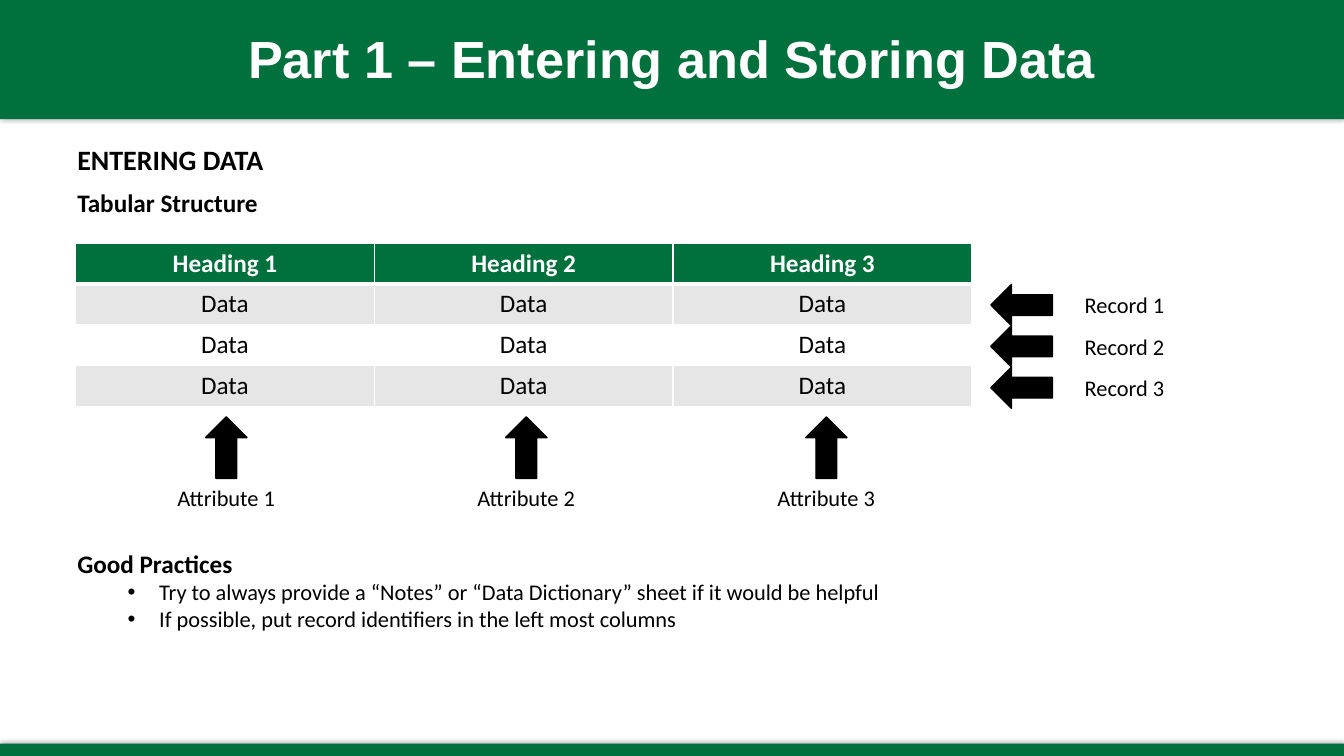
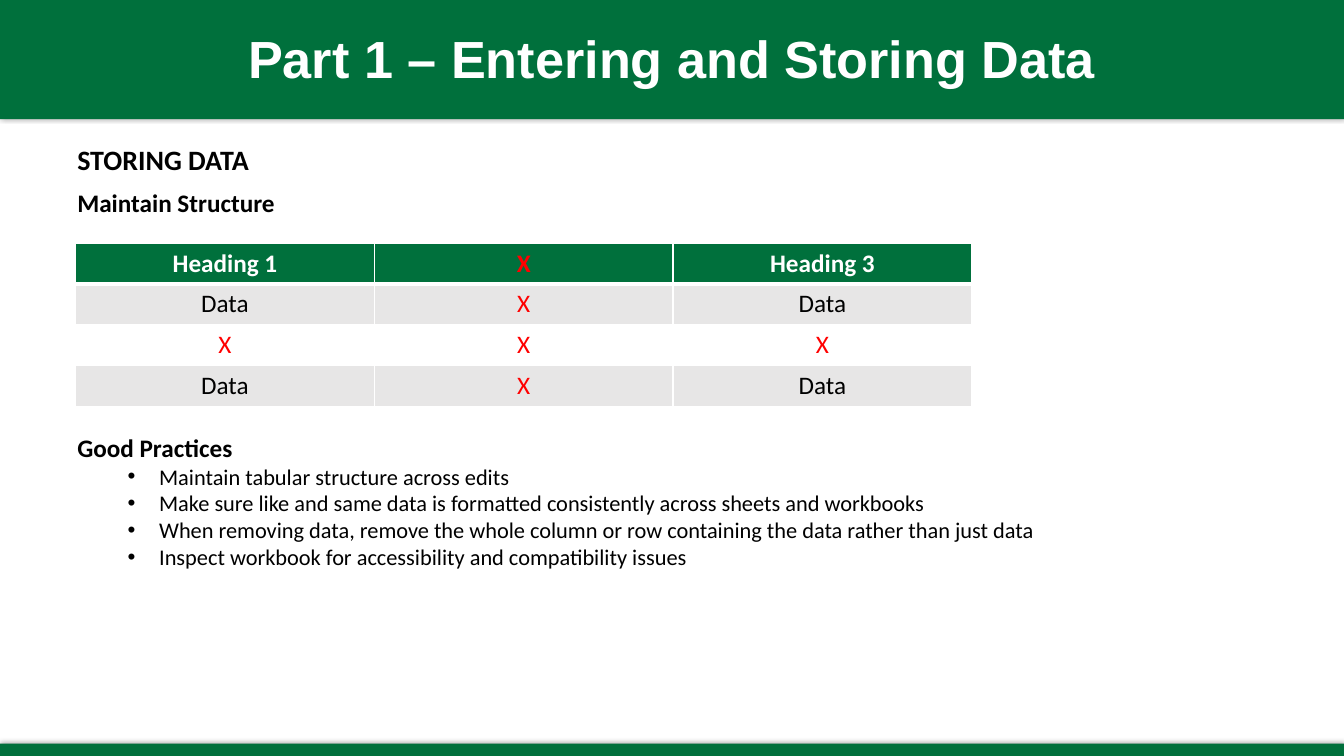
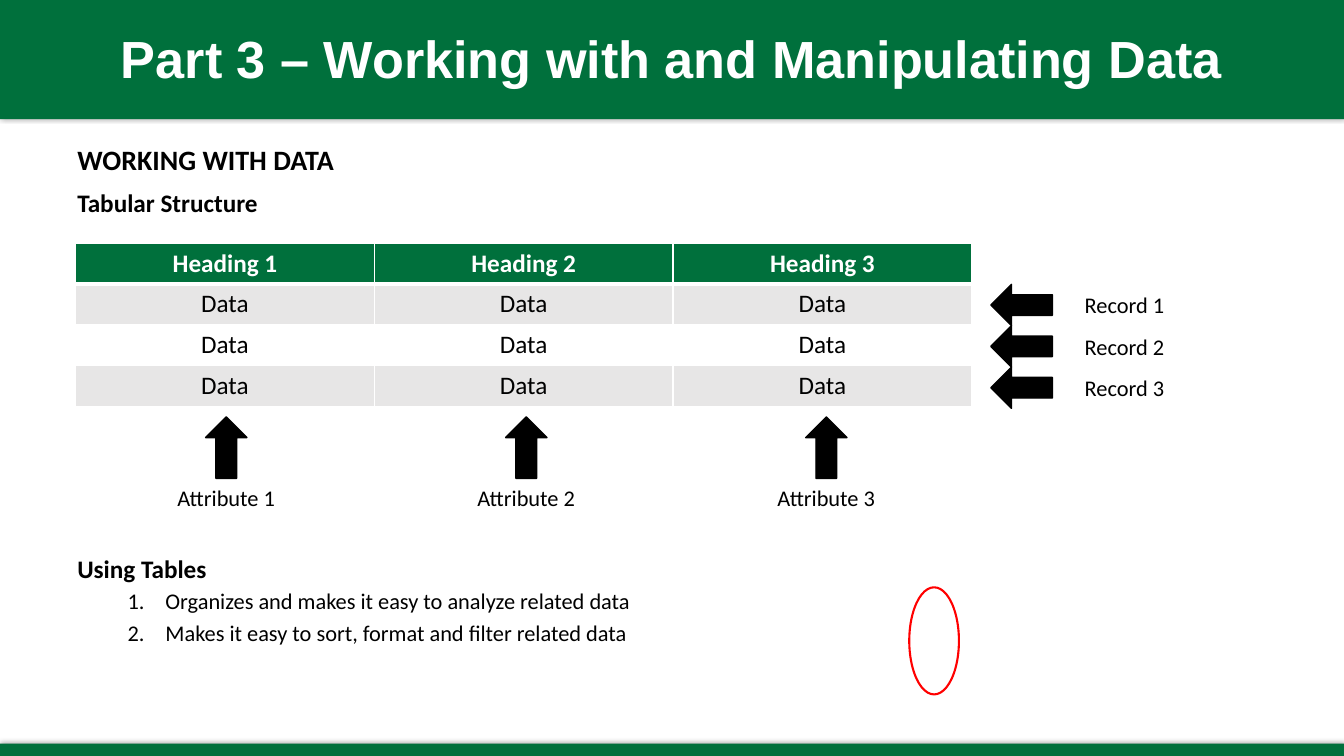
from dataclasses import dataclass

from lxml.etree import SubElement
from pptx import Presentation
from pptx.dml.color import RGBColor
from pptx.enum.shapes import MSO_SHAPE
from pptx.enum.text import MSO_ANCHOR, MSO_AUTO_SIZE, PP_ALIGN
from pptx.oxml.ns import qn
from pptx.util import Pt


@dataclass(frozen=True)
class Theme:
    green: str = "00703C"
    black: str = "000000"
    white: str = "FFFFFF"
    grey: str = "E7E6E6"
    red: str = "FF0000"
    title_font: str = "Arial"
    text_font: str = "Calibri"
    title_size: float = 37.3
    section_size: float = 20
    heading_size: float = 18
    text_size: float = 16


THEME = Theme()
WIDTH, HEIGHT = 960, 540
TITLE_AND_CONTENT, TWO_CONTENT = 1, 3
TABLE_LEFT, TABLE_TOP = 54, 173.5
COLUMN_WIDTH, ROW_HEIGHT = 213.4, 29.2
ARROW_WIDTH, ARROW_LENGTH = 29.5, 43.9
LABEL_WIDTH, LABEL_HEIGHT = 107.3, 26.6
DATA_TABLE = [["Heading 1", "Heading 2", "Heading 3"]] + [["Data"] * 3] * 3
EDITED_TABLE = [
    ["Heading 1", "X", "Heading 3"],
    ["Data", "X", "Data"],
    ["X", "X", "X"],
    ["Data", "X", "Data"],
]


def color(value):
    return RGBColor.from_string(value)


def place(shape, left, top, width, height):
    shape.left, shape.top = Pt(left), Pt(top)
    shape.width, shape.height = Pt(width), Pt(height)


def style(paragraph, size, bold=False, fill=THEME.black, name=THEME.text_font,
          align=PP_ALIGN.LEFT):
    paragraph.alignment = align
    font = paragraph.font
    font.size, font.bold, font.name = Pt(size), bold, name
    font.color.rgb = color(fill)


def set_bullet(paragraph, margin=0, hanging=0, tag="a:buNone", **attributes):
    properties = paragraph._p.get_or_add_pPr()
    properties.set("marL", str(Pt(margin)))
    properties.set("indent", str(-Pt(hanging)))
    SubElement(properties, qn(tag), attributes)


def set_spacing(paragraph, before=0, line=1.0):
    paragraph.space_before, paragraph.space_after = Pt(before), Pt(0)
    paragraph.line_spacing = line


def next_paragraph(text_frame, text):
    """Fill the paragraph a new frame starts with, then add further ones."""
    first = text_frame.paragraphs[0]
    paragraph = text_frame.add_paragraph() if first.text else first
    paragraph.text = text
    return paragraph


def add_heading(text_frame, text, size=THEME.heading_size, before=0, line=1.0):
    paragraph = next_paragraph(text_frame, text)
    set_bullet(paragraph)
    set_spacing(paragraph, before, line)
    style(paragraph, size, bold=True)


def add_bullets(text_frame, items):
    for item in items:
        paragraph = next_paragraph(text_frame, item)
        set_bullet(paragraph, 58.5, 22.5, "a:buChar", char="•")
        set_spacing(paragraph)
        style(paragraph, THEME.text_size)


def add_numbers(text_frame, items):
    for item in items:
        paragraph = next_paragraph(text_frame, item)
        set_bullet(paragraph, 63, 27, "a:buAutoNum", type="arabicPeriod")
        set_spacing(paragraph, before=5, line=0.9)
        style(paragraph, THEME.text_size)


def add_shape(slide, kind, left, top, width, height, fill=None, line=None, weight=1):
    shape = slide.shapes.add_shape(kind, Pt(left), Pt(top), Pt(width), Pt(height))
    shape.shadow.inherit = False
    if fill:
        shape.fill.solid()
        shape.fill.fore_color.rgb = color(fill)
    else:
        shape.fill.background()
    if line:
        shape.line.color.rgb = color(line)
        shape.line.width = Pt(weight)
    else:
        shape.line.fill.background()
    return shape


def add_band(slide, top, height):
    """Add a full-width green band with a soft shadow, behind the title."""
    band = add_shape(slide, MSO_SHAPE.RECTANGLE, 0, top, WIDTH, height, THEME.green)
    band.rotation = 180
    effects = band.element.spPr.find(qn("a:effectLst"))
    shadow = SubElement(effects, qn("a:outerShdw"), blurRad=str(Pt(4)),
                        dist=str(Pt(1)), dir="16200000", rotWithShape="0")
    shade = SubElement(shadow, qn("a:srgbClr"), val=THEME.black)
    SubElement(shade, qn("a:alpha"), val="40000")
    slide.shapes.title.element.addprevious(band.element)


def prepare_frame(placeholder):
    text_frame = placeholder.text_frame
    text_frame.word_wrap = True
    text_frame.auto_size = MSO_AUTO_SIZE.NONE
    return text_frame


def add_slide(presentation, layout, title, section, topic):
    slide = presentation.slides.add_slide(presentation.slide_layouts[layout])
    add_band(slide, 0, 85)
    add_band(slide, 531.2, 8.8)
    place(slide.shapes.title, 0, 15.1, WIDTH, 52.6)
    paragraph = next_paragraph(prepare_frame(slide.shapes.title), title)
    style(paragraph, THEME.title_size, True, THEME.white, THEME.title_font,
          PP_ALIGN.CENTER)
    body = slide.placeholders[1]
    place(body, 48, 100.8, 864, 400)
    text_frame = prepare_frame(body)
    add_heading(text_frame, section, THEME.section_size, before=10, line=0.9)
    add_heading(text_frame, topic, before=10, line=0.9)
    return slide


def add_practices(slide, top, width, height, items):
    practices = slide.placeholders[2]
    place(practices, 48, top, width, height)
    text_frame = prepare_frame(practices)
    add_heading(text_frame, "Good Practices")
    add_bullets(text_frame, items)


def set_borders(cell, top, bottom):
    properties = cell._tc.get_or_add_tcPr()
    for side, weight in (("L", 1), ("R", 1), ("T", top), ("B", bottom)):
        line = SubElement(properties, qn(f"a:ln{side}"), w=str(Pt(weight)))
        fill = SubElement(line, qn("a:solidFill"))
        SubElement(fill, qn("a:srgbClr"), val=THEME.white)


def fill_cell(cell, text, row):
    is_header = row == 0
    set_borders(cell, top=3 if row == 1 else 1, bottom=3 if is_header else 1)
    cell.fill.solid()
    band = THEME.grey if row % 2 else THEME.white
    cell.fill.fore_color.rgb = color(THEME.green if is_header else band)
    cell.vertical_anchor = MSO_ANCHOR.MIDDLE
    text_color = THEME.white if is_header else THEME.black
    paragraph = next_paragraph(cell.text_frame, text)
    style(paragraph, THEME.heading_size, is_header,
          THEME.red if text == "X" else text_color, align=PP_ALIGN.CENTER)


def add_table(slide, rows):
    columns = len(rows[0])
    table = slide.shapes.add_table(
        len(rows), columns, Pt(TABLE_LEFT), Pt(TABLE_TOP),
        Pt(columns * COLUMN_WIDTH), Pt(len(rows) * ROW_HEIGHT)).table
    table.horz_banding = False
    for column in table.columns:
        column.width = Pt(COLUMN_WIDTH)
    for index, texts in enumerate(rows):
        table.rows[index].height = Pt(ROW_HEIGHT)
        for column, text in enumerate(texts):
            fill_cell(table.cell(index, column), text, index)


def add_arrow(slide, center_x, center_y, rotation=0):
    arrow = add_shape(slide, MSO_SHAPE.UP_ARROW, center_x - ARROW_WIDTH / 2,
                      center_y - ARROW_LENGTH / 2, ARROW_WIDTH, ARROW_LENGTH,
                      THEME.black, THEME.black)
    arrow.rotation = rotation


def add_label(slide, text, center_x, center_y):
    label = slide.shapes.add_textbox(
        Pt(center_x - LABEL_WIDTH / 2), Pt(center_y - LABEL_HEIGHT / 2),
        Pt(LABEL_WIDTH), Pt(LABEL_HEIGHT))
    label.text_frame.word_wrap = True
    paragraph = next_paragraph(label.text_frame, text)
    style(paragraph, THEME.text_size, align=PP_ALIGN.CENTER)


def add_annotated_table(slide):
    """Add the data table with arrows naming its attributes and records."""
    add_table(slide, DATA_TABLE)
    for index in range(3):
        attribute_x = 161.6 + index * 214.3
        add_arrow(slide, attribute_x, 319.8)
        add_label(slide, f"Attribute {index + 1}", attribute_x, 355.6)
    for index in reversed(range(3)):
        record_y = 217.9 + index * 29.5
        add_arrow(slide, 729.7, record_y, rotation=270)
        add_label(slide, f"Record {index + 1}", 803.2, record_y)


def add_entering_slide(presentation):
    slide = add_slide(presentation, TWO_CONTENT, "Part 1 – Entering and Storing Data",
                      "ENTERING DATA", "Tabular Structure")
    add_annotated_table(slide)
    add_practices(slide, 388, 646, 67.7, [
        "Try to always provide a “Notes” or “Data Dictionary” sheet if it would be helpful",
        "If possible, put record identifiers in the left most columns",
    ])


def add_storing_slide(presentation):
    slide = add_slide(presentation, TWO_CONTENT, "Part 1 – Entering and Storing Data",
                      "STORING DATA", "Maintain Structure")
    add_table(slide, EDITED_TABLE)
    add_practices(slide, 305.3, 705, 106.6, [
        "Maintain tabular structure across edits",
        "Make sure like and same data is formatted consistently across sheets and workbooks",
        "When removing data, remove the whole column or row containing the data "
        "rather than just data",
        "Inspect workbook for accessibility and compatibility issues",
    ])


def add_working_slide(presentation):
    slide = add_slide(presentation, TITLE_AND_CONTENT,
                      "Part 3 – Working with and Manipulating Data",
                      "WORKING WITH DATA", "Tabular Structure")
    text_frame = slide.placeholders[1].text_frame
    add_heading(text_frame, "Using Tables", before=242, line=0.9)
    add_numbers(text_frame, [
        "Organizes and makes it easy to analyze related data",
        "Makes it easy to sort, format and filter related data",
    ])
    add_annotated_table(slide)
    add_shape(slide, MSO_SHAPE.OVAL, 649.5, 419.5, 35.5, 76.5,
              line=THEME.red, weight=1.5)


def main():
    presentation = Presentation()
    presentation.slide_width, presentation.slide_height = Pt(WIDTH), Pt(HEIGHT)
    add_entering_slide(presentation)
    add_storing_slide(presentation)
    add_working_slide(presentation)
    presentation.save("out.pptx")


if __name__ == "__main__":
    main()
